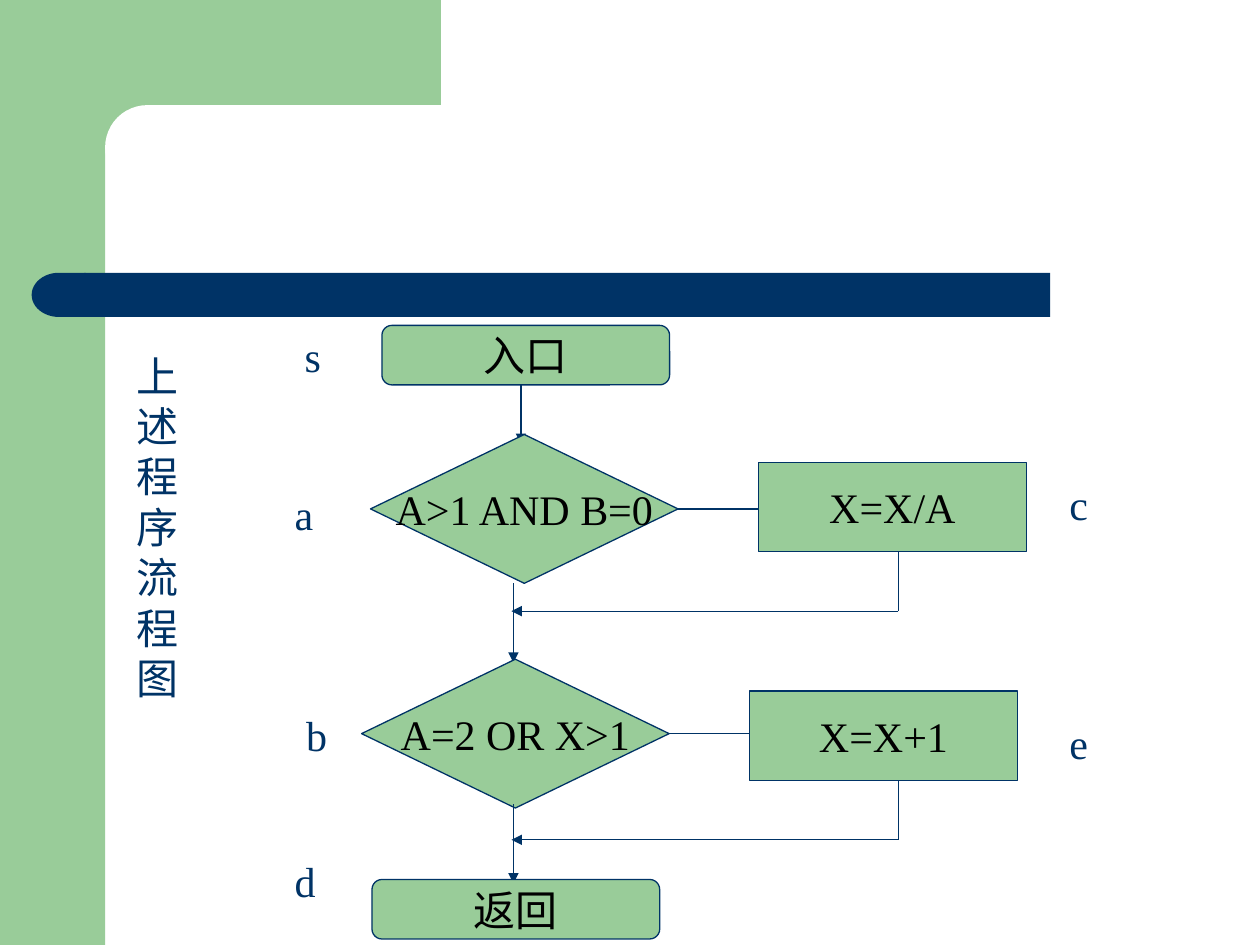
from lxml import etree
from pptx import Presentation
from pptx.dml.color import RGBColor
from pptx.enum.shapes import MSO_CONNECTOR, MSO_SHAPE
from pptx.enum.text import MSO_ANCHOR, MSO_AUTO_SIZE, PP_ALIGN
from pptx.oxml.ns import qn
from pptx.util import Cm, Pt

RECT, ROUND = MSO_SHAPE.RECTANGLE, MSO_SHAPE.ROUNDED_RECTANGLE
DIAMOND, DELAY = MSO_SHAPE.DIAMOND, MSO_SHAPE.FLOWCHART_DELAY
STRAIGHT = MSO_CONNECTOR.STRAIGHT
MIDDLE, TOP = MSO_ANCHOR.MIDDLE, MSO_ANCHOR.TOP
CENTER, LEFT = PP_ALIGN.CENTER, PP_ALIGN.LEFT
NO_FIT, GROW = MSO_AUTO_SIZE.NONE, MSO_AUTO_SIZE.SHAPE_TO_FIT_TEXT

COLORS = {"green": "99CC99", "navy": "003366", "white": "FFFFFF", "black": "000000"}
FONT = "Times New Roman"
SPINE = 10.35  # x of the main flow
BACK = 18.11  # x where the side steps turn back


def color(name):
    return RGBColor.from_string(COLORS[name])


def add_run(para, text, tint):
    run = para.add_run()
    run.text = text
    run.font.size = Pt(24)
    run.font.name = FONT
    run.font.color.rgb = color(tint)


def add_block(slide, kind, box, fill, line=None):
    block = slide.shapes.add_shape(kind, *map(Cm, box))
    block.shadow.inherit = False
    block.fill.solid()
    block.fill.fore_color.rgb = color(fill)
    if line:
        block.line.color.rgb = color(line)
        block.line.width = Pt(0.75)
    else:
        block.line.fill.background()
    return block


def add_node(slide, kind, box, text):
    node = add_block(slide, kind, box, "green", "navy")
    frame = node.text_frame
    frame.word_wrap = False
    frame.vertical_anchor = MIDDLE
    para = frame.paragraphs[0]
    para.alignment = CENTER
    add_run(para, text, "black")


def add_line(slide, start, end, arrow=False):
    line = slide.shapes.add_connector(STRAIGHT, *map(Cm, start + end))
    line.line.color.rgb = color("navy")
    line.line.width = Pt(0.75)
    props = line.element.spPr
    if arrow:
        tail = etree.SubElement(props.find(qn("a:ln")), qn("a:tailEnd"))
        tail.set("type", "triangle")
    etree.SubElement(props, qn("a:effectLst"))


def add_label(slide, x, y, text):
    label = slide.shapes.add_textbox(Cm(x), Cm(y), Cm(1.2), Cm(1.27))
    frame = label.text_frame
    frame.word_wrap = True
    frame.auto_size = GROW
    para = frame.paragraphs[0]
    para.space_before = Pt(15)
    add_run(para, text, "navy")


def draw_frame(slide, wide, high):
    # Green corner with a rounded white cutout
    add_block(slide, RECT, (0, 0, 2.12, high), "green")
    add_block(slide, RECT, (1.9, 0, 6.99, 2.96), "green")
    panel = add_block(slide, ROUND, (2.12, 2.12, wide - 11.22, 1.7), "white")
    panel.adjustments[0] = 0.5
    # Navy bar with a round left end
    add_block(slide, RECT, (1.7, 5.5, 19.47, 0.89), "navy")
    cap = add_block(slide, DELAY, (0.64, 5.5, 1.09, 0.89), "navy")
    cap.element.spPr.find(qn("a:xfrm")).set("flipH", "1")


def draw_title(slide, box, text):
    title = slide.shapes.title
    title.left, title.top, title.width, title.height = map(Cm, box)
    frame = title.text_frame
    frame.word_wrap = True
    frame.auto_size = NO_FIT
    frame.vertical_anchor = TOP
    para = frame.paragraphs[0]
    para.alignment = LEFT
    para.space_before = Pt(15)
    add_run(para, text, "navy")


def draw_branch(slide, x, y, test, step, sink, drop):
    """Test with a side step; sink and drop are offsets of step and exit."""
    wide, high, tall = 6.2, 3, 1.8
    side = x + 7.82
    turn = y + sink + 3
    add_node(slide, DIAMOND, (x, y, wide, high), test)
    add_line(slide, (SPINE, y + drop), (SPINE, y + drop + 1.6), True)
    add_node(slide, RECT, (side, y + sink, 5.4, tall), step)
    mid = y + high / 2
    add_line(slide, (x + wide, mid), (side, mid))
    add_line(slide, (BACK, y + sink + tall), (BACK, turn))
    add_line(slide, (BACK, turn), (SPINE - 0.04, turn), True)


def draw_flow(slide, x, y):
    add_node(slide, ROUND, (x + 0.41, y, 5.8, 1.2), "入口")
    add_line(slide, (x + 3.21, y + 1.2), (x + 3.21, y + 2.39), True)
    draw_branch(slide, x + 0.18, y + 2.2, "A>1 AND B=0", "X=X/A", 0.56, 3)
    draw_branch(slide, x, y + 6.73, "A=2 OR X>1", "X=X+1", 0.64, 2.92)
    add_node(slide, ROUND, (x + 0.21, y + 11.17, 5.8, 1.2), "返回")
    # Letters of the nodes, left column then right column
    for dx, dy, text in (
        (-1.4, -0.03, "s"), (-1.6, 3.17, "a"), (-1.37, 7.61, "b"),
        (-1.6, 10.56, "d"), (14.02, 2.97, "c"), (14.02, 7.77, "e"),
    ):
        add_label(slide, x + dx, y + dy, text)


def main():
    wide, high = 25.4, 19.05
    deck = Presentation()
    deck.slide_width, deck.slide_height = Cm(wide), Cm(high)
    slide = deck.slides.add_slide(deck.slide_layouts[5])
    draw_frame(slide, wide, high)
    draw_title(slide, (2.49, 6.93, 1.8, 7.37), "上述程序流程图")
    draw_flow(slide, 7.29, 6.56)
    deck.save("out.pptx")


if __name__ == "__main__":
    main()
